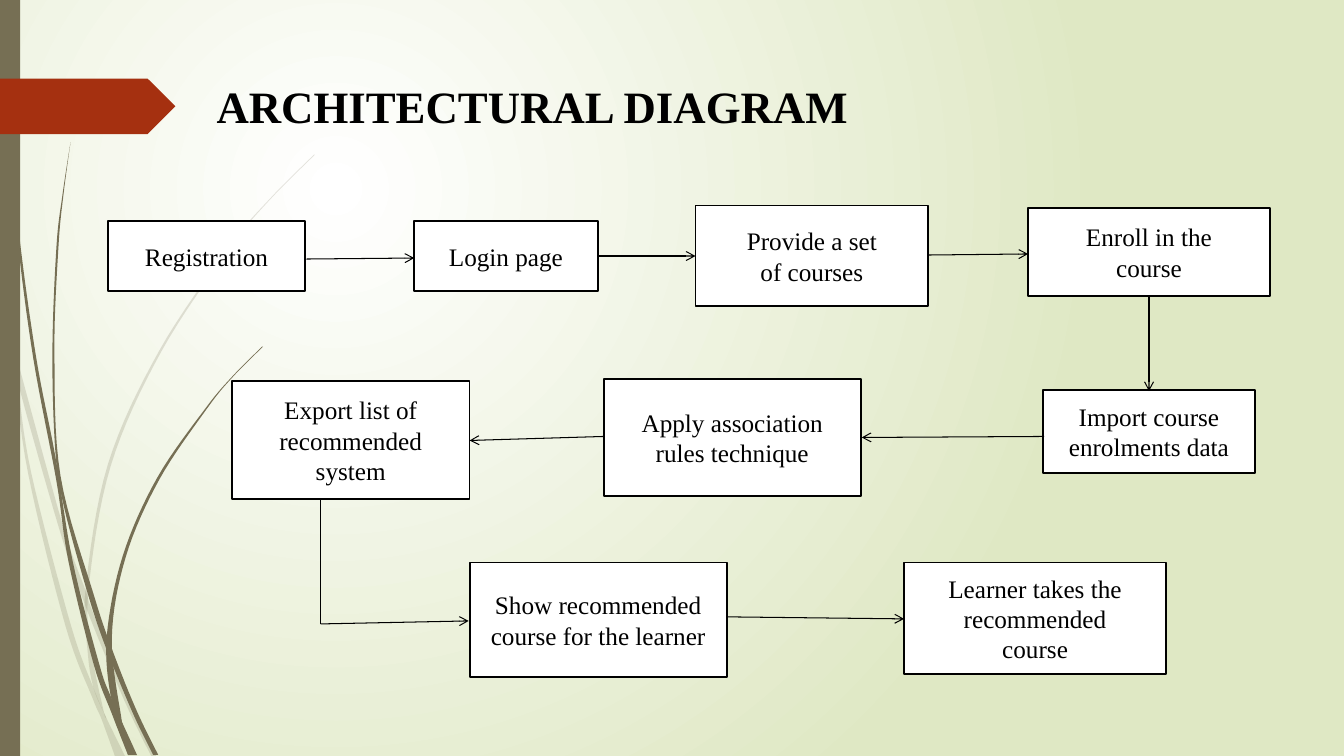
from lxml.etree import SubElement
from pptx import Presentation
from pptx.dml.color import RGBColor
from pptx.enum.shapes import MSO_CONNECTOR, MSO_SHAPE
from pptx.enum.text import MSO_ANCHOR, PP_ALIGN
from pptx.oxml.ns import qn
from pptx.util import Cm, Pt

BLACK = RGBColor(0x00, 0x00, 0x00)
WHITE = RGBColor(0xFF, 0xFF, 0xFF)
PALE_GREEN = RGBColor(0xDF, 0xE8, 0xC4)
OLIVE = RGBColor(0x76, 0x6F, 0x54)
RUST = RGBColor(0xA5, 0x30, 0x10)

BOX_FONT = {"name": "Times New Roman", "size": Pt(18)}
TITLE_FONT = {"name": "Times New Roman", "size": Pt(32), "bold": True}
STEPS_PER_CURVE = 8


def inches(*values):
    """Lengths laid out on an inch grid."""
    return [Cm(value * 2.54) for value in values]


def smooth(points):
    """Catmull-Rom curve through the points."""
    padded = [points[0], *points, points[-1]]
    curve = []
    for a, b, c, d in zip(padded, padded[1:], padded[2:], padded[3:]):
        for step in range(STEPS_PER_CURVE):
            t = step / STEPS_PER_CURVE
            curve.append(inches(*(
                q + t * (r - p) / 2 + t**2 * (p - 2.5 * q + 2 * r - s / 2)
                + t**3 * (1.5 * (q - r) + (s - p) / 2)
                for p, q, r, s in zip(a, b, c, d))))
    return curve + [inches(*points[-1])]


deck = Presentation()
deck.slide_width, deck.slide_height = Cm(33.87), Cm(19.05)
page = deck.slides.add_slide(deck.slide_layouts[6])
shapes = page.shapes

# Background: radial gradient
background = page.background.fill
background.gradient()
for stop, color in zip(background.gradient_stops, (WHITE, PALE_GREEN)):
    stop.color.rgb = color
gradient = page.element.find(".//" + qn("a:gradFill"))
gradient.remove(gradient.find(qn("a:lin")))
circle = SubElement(gradient, qn("a:path"), {"path": "circle"})
SubElement(circle, qn("a:fillToRect"),
           {"l": "50000", "t": "50000", "r": "100000", "b": "100000"})

# Grass blades: left edge, right edge, opacity in percent
blades = [
    ([(0, 2.99), (0.11, 3.5), (0.28, 4.7), (0.65, 6.21), (0.92, 6.93),
      (1.01, 7.14), (1.14, 7.5)],
     [(0, 2.82), (0.09, 3.22), (0.17, 3.76), (0.31, 4.69), (0.7, 6.19),
      (0.93, 6.83), (1.05, 7.11), (1.24, 7.5)], 20),
    ([(0.14, 3.45), (0.17, 3.76), (0.58, 5.22), (0.84, 5.99), (1.23, 6.94),
      (1.5, 7.5)],
     [(0.14, 3.45), (0.62, 5.2), (0.85, 5.86), (0.92, 6.07), (1.27, 6.92),
      (1.55, 7.5)], 20),
    ([(3.12, 1.53), (2.68, 1.97), (2.28, 2.44), (1.58, 3.48), (1.07, 4.61),
      (0.85, 5.84), (0.87, 6.46), (0.93, 6.83), (1.05, 7.11)],
     [(3.12, 1.54), (2.68, 1.98), (2.29, 2.45), (1.6, 3.49), (1.1, 4.62),
      (0.88, 5.84), (0.91, 6.46), (1.03, 7.06), (1.05, 7.11)], 20),
    ([(0.03, 0), (0.07, 1.1), (0.17, 2.33), (0.33, 3.55), (0.56, 4.77),
      (0.68, 5.57), (0.93, 6.59), (1.11, 7.08), (1.27, 7.49)],
     [(0.04, 0), (0.08, 1.09), (0.19, 2.32), (0.36, 3.55), (0.55, 4.53),
      (0.72, 5.56), (0.98, 6.57), (1.1, 6.91), (1.36, 7.49)], 100),
    ([(0.7, 1.41), (0.62, 1.93), (0.56, 2.45), (0.52, 3.49), (0.55, 4.49),
      (0.64, 5.05), (0.88, 5.92), (1.06, 6.45), (1.32, 7.08), (1.52, 7.49)],
     [(0.7, 1.41), (0.63, 1.93), (0.58, 2.45), (0.54, 3.49), (0.6, 4.72),
      (0.93, 5.9), (1.13, 6.49), (1.36, 7.06), (1.57, 7.49)], 100),
    ([(2.6, 3.44), (2.31, 3.73), (2.04, 4.05), (1.56, 4.74), (1.22, 5.51),
      (1.06, 6.31), (1.1, 6.91), (1.22, 7.19)],
     [(2.61, 3.44), (2.31, 3.74), (2.05, 4.06), (1.58, 4.76), (1.25, 5.52),
      (1.11, 6.33), (1.21, 7.16), (1.22, 7.19)], 100),
]
for left_edge, right_edge, opacity in blades:
    outline = smooth(left_edge) + smooth(right_edge)[::-1]
    builder = shapes.build_freeform(*outline[0])
    builder.add_line_segments(outline[1:], close=True)
    blade = builder.convert_to_shape()
    blade.shadow.inherit = False
    blade.line.fill.background()
    blade.fill.solid()
    blade.fill.fore_color.rgb = OLIVE
    if opacity < 100:
        color = blade.element.spPr.find(".//" + qn("a:srgbClr"))
        SubElement(color, qn("a:alpha"), {"val": str(opacity * 1000)})

# Side bar and title marker
for kind, place, color in [
    (MSO_SHAPE.RECTANGLE, (0, 0, 0.2, 7.5), OLIVE),
    (MSO_SHAPE.PENTAGON, (0, 0.78, 1.74, 0.55), RUST),
]:
    accent = shapes.add_shape(kind, *inches(*place))
    accent.shadow.inherit = False
    accent.line.fill.background()
    accent.fill.solid()
    accent.fill.fore_color.rgb = color

# Title
title = shapes.add_textbox(*inches(2.05, 0.73, 9.75, 1.4))
title.text_frame.word_wrap = True
span = title.text_frame.paragraphs[0].add_run()
span.text = "ARCHITECTURAL DIAGRAM"
span.font.color.rgb = BLACK
for key, value in TITLE_FONT.items():
    setattr(span.font, key, value)

# Process boxes
steps = [
    ((1.07, 2.19, 1.96, 0.7), ["Registration"]),
    ((4.11, 2.19, 1.82, 0.7), ["Login page"]),
    ((6.9, 2.04, 2.31, 1), ["Provide a set", "of courses"]),
    ((10.2, 2.06, 2.4, 0.88), ["Enroll in the", "course"]),
    ((10.35, 3.87, 2.1, 0.82), ["Import course", "enrolments data"]),
    ((5.99, 3.76, 2.55, 1.16), ["Apply association", "rules technique"]),
    ((2.3, 3.78, 2.36, 1.17), ["Export list of recommended", "system"]),
    ((4.66, 5.58, 2.55, 1.14),
     ["Show recommended", "course for the learner"]),
    ((8.97, 5.58, 2.6, 1.11), ["Learner takes the", "recommended", "course"]),
]
for place, lines in steps:
    box = shapes.add_shape(MSO_SHAPE.RECTANGLE, *inches(*place))
    box.shadow.inherit = False
    box.fill.solid()
    box.fill.fore_color.rgb = WHITE
    box.line.color.rgb = BLACK
    box.line.width = Pt(1.25)
    frame = box.text_frame
    frame.word_wrap = True
    frame.vertical_anchor = MSO_ANCHOR.MIDDLE
    for index, line in enumerate(lines):
        para = frame.add_paragraph() if index else frame.paragraphs[0]
        para.alignment = PP_ALIGN.CENTER
        span = para.add_run()
        span.text = line
        span.font.color.rgb = BLACK
        for key, value in BOX_FONT.items():
            setattr(span.font, key, value)

# Flow lines: start, end, whether an arrowhead closes the line
flows = [
    ((3.04, 2.57), (4.11, 2.56), True),
    ((5.93, 2.54), (6.9, 2.54), True),
    ((9.21, 2.53), (10.2, 2.52), True),
    ((11.4, 2.94), (11.4, 3.88), True),
    ((10.36, 4.33), (8.55, 4.34), True),
    ((5.99, 4.33), (4.66, 4.37), True),
    ((3.18, 4.95), (3.18, 6.19), False),
    ((3.18, 6.19), (4.65, 6.16), True),
    ((7.22, 6.12), (8.97, 6.14), True),
]
for start, end, has_head in flows:
    flow = shapes.add_connector(MSO_CONNECTOR.STRAIGHT, *inches(*start, *end))
    flow.line.color.rgb = BLACK
    flow.line.width = Pt(0.75)
    if has_head:
        SubElement(flow.line._get_or_add_ln(), qn("a:tailEnd"),
                   {"type": "arrow"})
    SubElement(flow._element.spPr, qn("a:effectLst"))

deck.save("out.pptx")
